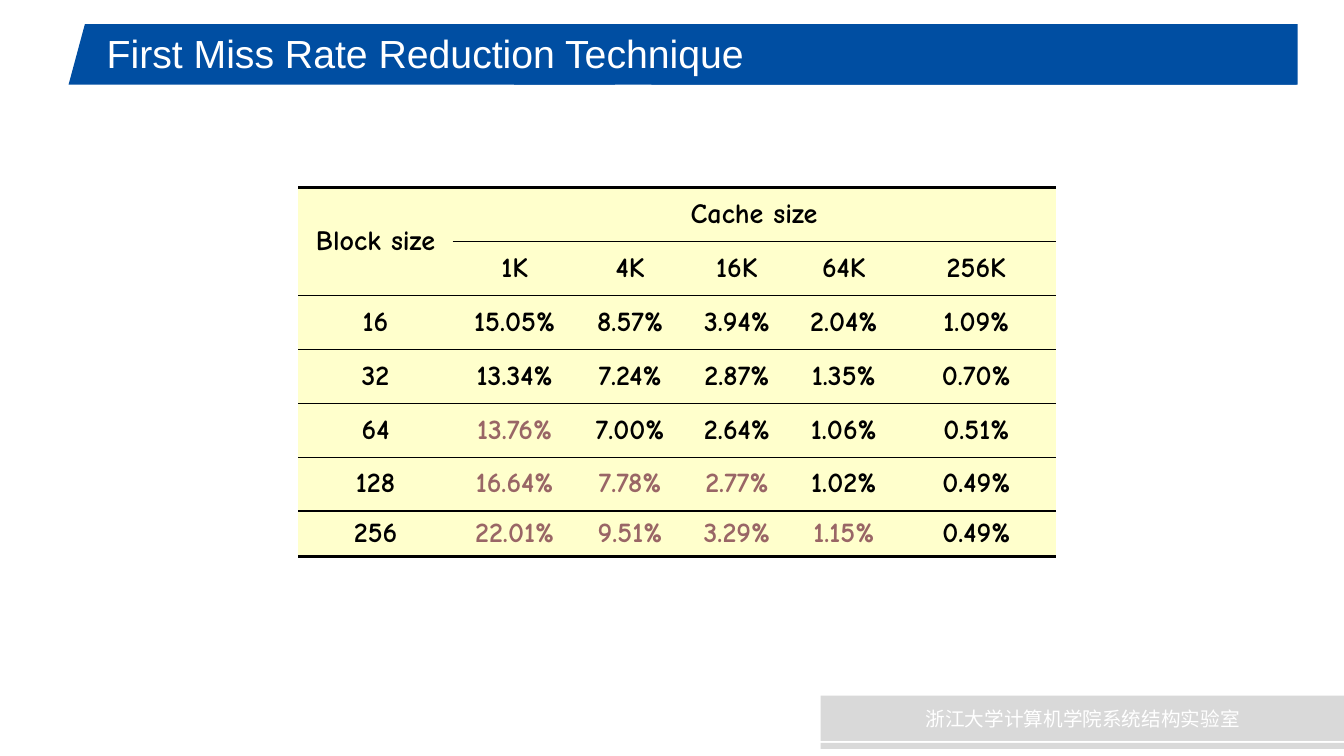
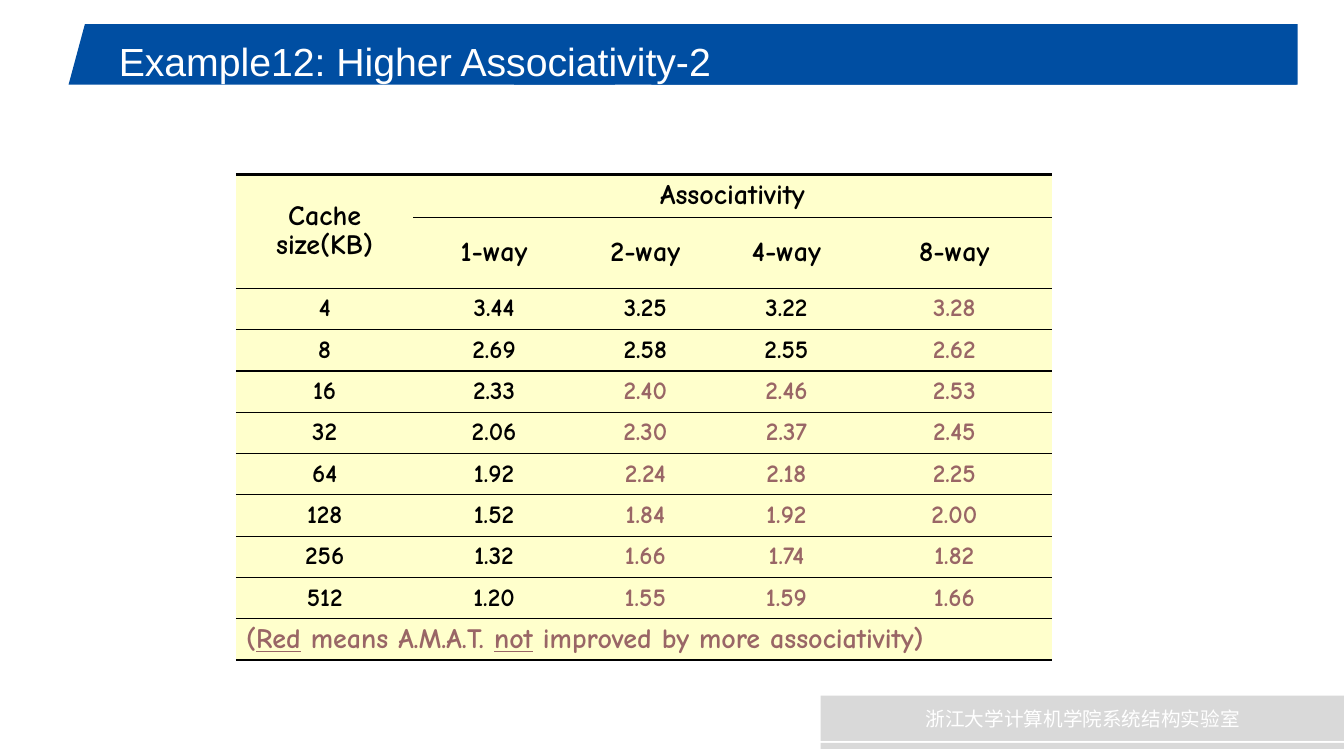
from lxml.etree import SubElement
from pptx import Presentation
from pptx.dml.color import RGBColor
from pptx.enum.shapes import MSO_SHAPE
from pptx.enum.text import MSO_ANCHOR, PP_ALIGN
from pptx.oxml.ns import qn
from pptx.util import Inches, Pt

COLORS = {
    "blue": "004EA2",
    "gray": "D9D9D9",
    "white": "FFFFFF",
    "black": "000000",
    "cream": "FFFFCC",
    "red": "996666",
}
FOOTER = "浙江大学计算机学院系统结构实验室"
BANDS = [
    (MSO_SHAPE.TRAPEZOID, 0.68, 0.24, 5.42, 0.6, "blue", ""),
    (MSO_SHAPE.RECTANGLE, 5.1, 0.24, 7.77, 0.6, "blue", ""),
    (MSO_SHAPE.RECTANGLE, 6.46, 0.79, 6.4, 0.05, "blue", ""),
    (MSO_SHAPE.RECTANGLE, 8.14, 6.9, 5.2, 0.45, "gray", FOOTER),
    (MSO_SHAPE.RECTANGLE, 8.14, 7.37, 5.2, 0.06, "gray", ""),
]
SLIDES = [
    {
        "title": "First Miss Rate Reduction Technique",
        "title_box": (0.96, 0.25, 11.52, 0.55),
        "table_at": (2.96, 1.86),
        "columns": [1.53, 1.23, 1.06, 1.06, 1.06, 1.57],
        "rows": [0.54, 0.53, 0.54, 0.53, 0.54, 0.53, 0.45],
        "corner": "Block size",
        "group": "Cache size",
        "heads": ["1K", "4K", "16K", "64K", "256K"],
        "body": [
            ["16", "15.05%", "8.57%", "3.94%", "2.04%", "1.09%"],
            ["32", "13.34%", "7.24%", "2.87%", "1.35%", "0.70%"],
            ["64", "13.76%", "7.00%", "2.64%", "1.06%", "0.51%"],
            ["128", "16.64%", "7.78%", "2.77%", "1.02%", "0.49%"],
            ["256", "22.01%", "9.51%", "3.29%", "1.15%", "0.49%"],
        ],
        "body_size": 20,
        "compare_down": True,
        "note": "",
    },
    {
        "title": "Example12: Higher Associativity-2",
        "title_box": (1.08, 0.27, 9.07, 0.67),
        "table_at": (2.34, 1.73),
        "columns": [1.76, 1.6, 1.4, 1.4, 1.93],
        "rows": [0.43] * 2 + [0.41] * 9,
        "corner": "Cache size(KB)",
        "group": "Associativity",
        "heads": ["1-way", "2-way", "4-way", "8-way"],
        "body": [
            ["4", "3.44", "3.25", "3.22", "3.28"],
            ["8", "2.69", "2.58", "2.55", "2.62"],
            ["16", "2.33", "2.40", "2.46", "2.53"],
            ["32", "2.06", "2.30", "2.37", "2.45"],
            ["64", "1.92", "2.24", "2.18", "2.25"],
            ["128", "1.52", "1.84", "1.92", "2.00"],
            ["256", "1.32", "1.66", "1.74", "1.82"],
            ["512", "1.20", "1.55", "1.59", "1.66"],
        ],
        "body_size": 18,
        "compare_down": False,
        "note": "(_Red_ means A.M.A.T. _not_ improved by more associativity)",
    },
]


def write_text(frame, text, size=20, font="Comic Neue", color="black", bold=False,
               align=PP_ALIGN.CENTER, line_spacing=1.0, space_before=0):
    frame.word_wrap = True
    paragraph = frame.paragraphs[0]
    paragraph.alignment = align
    paragraph.line_spacing = line_spacing
    paragraph.space_before = Pt(space_before)
    for index, part in enumerate(text.split("_")):
        run = paragraph.add_run()
        run.text = part
        run.font.size = Pt(size)
        run.font.bold = bold
        run.font.underline = index % 2 == 1
        run.font.color.rgb = RGBColor.from_string(COLORS[color])
        run.font.name = font
        SubElement(run.font._element, qn("a:ea"), typeface=font)


def set_borders(cell, top, bottom):
    properties = cell._tc.get_or_add_tcPr()
    for side, width in (("L", 0), ("R", 0), ("T", top), ("B", bottom)):
        line = SubElement(properties, qn(f"a:ln{side}"), w=str(Pt(width)))
        if width:
            fill = SubElement(line, qn("a:solidFill"))
            SubElement(fill, qn("a:srgbClr"), val=COLORS["black"])
        else:
            SubElement(line, qn("a:noFill"))


presentation = Presentation()
presentation.slide_width = Inches(13.33)
presentation.slide_height = Inches(7.5)

for content in SLIDES:
    slide = presentation.slides.add_slide(presentation.slide_layouts[6])

    for kind, left, top, width, height, color, label in BANDS:
        shape = slide.shapes.add_shape(
            kind, Inches(left), Inches(top), Inches(width), Inches(height))
        shape.shadow.inherit = False
        shape.fill.solid()
        shape.fill.fore_color.rgb = RGBColor.from_string(COLORS[color])
        shape.line.fill.background()
        if kind == MSO_SHAPE.TRAPEZOID:
            shape.adjustments[0] = 0.27
        if label:
            shape.text_frame.vertical_anchor = MSO_ANCHOR.MIDDLE
            write_text(shape.text_frame, label, size=14,
                       font="Noto Sans CJK SC", color="white")

    title = slide.shapes.add_textbox(*map(Inches, content["title_box"]))
    title.text_frame.vertical_anchor = MSO_ANCHOR.MIDDLE
    write_text(title.text_frame, content["title"], size=28, font="Arial",
               color="white", align=PP_ALIGN.LEFT)

    columns, rows, body = content["columns"], content["rows"], content["body"]
    table = slide.shapes.add_table(
        len(rows), len(columns), *map(Inches, content["table_at"]),
        Inches(sum(columns)), Inches(sum(rows))).table
    table.first_row = False
    table.horz_banding = False
    for column, width in zip(table.columns, columns):
        column.width = Inches(width)
    for row, height in zip(table.rows, rows):
        row.height = Inches(height)

    last_row, last_column = len(rows) - 1, len(columns) - 1
    table.cell(0, 0).merge(table.cell(1, 0))
    table.cell(0, 1).merge(table.cell(0, last_column))
    if content["note"]:
        table.cell(last_row, 0).merge(table.cell(last_row, last_column))

    texts = [[content["corner"], content["group"]], ["", *content["heads"]], *body]
    if content["note"]:
        texts.append([content["note"]])

    for row_index in range(len(rows)):
        for column_index in range(len(columns)):
            cell = table.cell(row_index, column_index)
            top = 2.25 if row_index == 0 else 1
            if (row_index, column_index) == (1, 0):
                top = 0
            set_borders(cell, top, 2.25 if row_index == last_row else 1)
            cell.fill.solid()
            cell.fill.fore_color.rgb = RGBColor.from_string(COLORS["cream"])
            cell.vertical_anchor = MSO_ANCHOR.MIDDLE
            if cell.is_spanned:
                continue

            text = texts[row_index][column_index]
            body_index = row_index - 2
            is_body = 0 <= body_index < len(body)
            is_note = body_index == len(body)
            is_worse = False
            if is_body and column_index > 0:
                if content["compare_down"]:
                    earlier = [line[column_index] for line in body[:body_index]]
                else:
                    earlier = body[body_index][1:column_index]
                is_worse = any(float(text.strip("%")) > float(value.strip("%"))
                               for value in earlier)
            size = content["body_size"] if is_body else 20
            write_text(cell.text_frame, text, size=size, bold=True,
                       color="red" if is_worse or is_note else "black",
                       align=PP_ALIGN.LEFT if is_note else PP_ALIGN.CENTER,
                       line_spacing=0.9, space_before=0.3 * size)

presentation.save("out.pptx")
